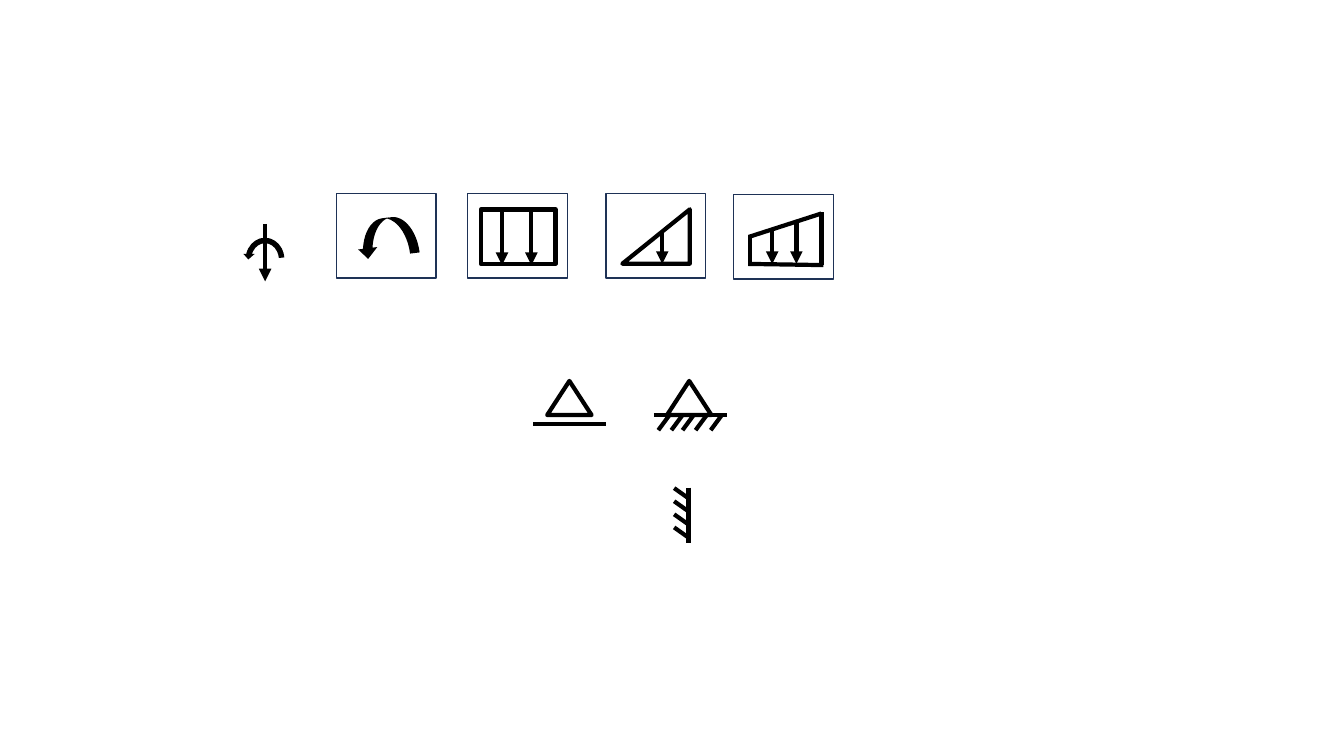
from typing import NamedTuple

from lxml.etree import SubElement
from pptx import Presentation
from pptx.dml.color import RGBColor
from pptx.enum.shapes import MSO_CONNECTOR, MSO_SHAPE as Shp
from pptx.oxml.ns import qn
from pptx.util import Cm, Pt

BLACK = RGBColor(0x00, 0x00, 0x00)
NAVY = RGBColor(0x1E, 0x32, 0x56)


class Outline(NamedTuple):
    kind: Shp
    left: float
    top: float
    width: float
    height: float
    rotation: float = 0


class Solid(NamedTuple):
    """A filled arrow, mirrored left to right."""
    kind: Shp
    left: float
    top: float
    width: float
    height: float
    adjustments: tuple[float, ...]
    rotation: float = 0


class Line(NamedTuple):
    x1: float
    y1: float
    x2: float
    y2: float
    arrow: bool = False


def add_preset(shapes, item: Outline | Solid):
    sp = shapes.add_shape(item.kind, *map(Cm, item[1:5]))
    sp.shadow.inherit = False
    sp.rotation = item.rotation
    return sp


def draw_outline(shapes, item: Outline, color: RGBColor = BLACK, width: float = 3) -> None:
    sp = add_preset(shapes, item)
    sp.fill.background()
    sp.line.color.rgb = color
    sp.line.width = Pt(width)


def draw_solid(shapes, item: Solid) -> None:
    sp = add_preset(shapes, item)
    for i, value in enumerate(item.adjustments):
        sp.adjustments[i] = value
    sp.fill.solid()
    sp.fill.fore_color.rgb = BLACK
    sp.line.fill.background()
    sp._element.spPr.find(qn("a:xfrm")).set("flipH", "1")


def draw_line(shapes, item: Line) -> None:
    cxn = shapes.add_connector(MSO_CONNECTOR.STRAIGHT, *map(Cm, item[:4]))
    cxn.line.color.rgb = BLACK
    cxn.line.width = Pt(3)
    if item.arrow:
        SubElement(cxn.line._get_or_add_ln(), qn("a:tailEnd"), type="triangle")
    SubElement(cxn._element.spPr, qn("a:effectLst"))


def draw_symbol(shapes, *items: Outline | Solid | Line) -> None:
    group = shapes.add_group_shape()
    for item in items:
        if isinstance(item, Line):
            draw_line(group.shapes, item)
        elif isinstance(item, Solid):
            draw_solid(group.shapes, item)
        else:
            draw_outline(group.shapes, item)


def down_arrow(x: float, top: float, bottom: float) -> Line:
    return Line(x, top, x, bottom, arrow=True)


prs = Presentation()
prs.slide_width, prs.slide_height = Cm(33.87), Cm(19.05)
s = prs.slides.add_slide(prs.slide_layouts[6])

# Button frames
for left, top in ((8.48, 4.88), (11.79, 4.88), (15.27, 4.88), (18.49, 4.9)):
    draw_outline(s.shapes, Outline(Shp.RECTANGLE, left, top, 2.51, 2.13), NAVY, 1)

# Moment
draw_solid(s.shapes, Solid(Shp.CURVED_DOWN_ARROW, 8.97, 5.49, 1.55, 0.97,
                           (0.25, 0.5, 0.275), 352.8))

# Triangular load
draw_symbol(s.shapes,
            Outline(Shp.RIGHT_TRIANGLE, 15.85, 5.11, 1.37, 1.7, 270),
            down_arrow(16.69, 5.84, 6.65))

# Uniform load
draw_symbol(s.shapes,
            Outline(Shp.RECTANGLE, 12.12, 5.28, 1.88, 1.37),
            *(down_arrow(x, 5.26, 6.68) for x in (12.65, 13.39)))

# Trapezoidal load
draw_symbol(s.shapes,
            Line(18.87, 6.65, 20.75, 6.68),
            Line(20.7, 6.68, 20.7, 5.33),
            Line(18.9, 6.71, 18.9, 5.92),
            Line(18.87, 5.97, 20.7, 5.38),
            down_arrow(19.46, 5.79, 6.65),
            down_arrow(20.07, 5.61, 6.65))

# Point force with moment
draw_symbol(s.shapes,
            down_arrow(6.68, 5.64, 7.09),
            Solid(Shp.CIRCULAR_ARROW, 6.12, 5.92, 1.12, 1.24,
                  (0.125, 11.423, 204.577, 111.719, 0.125)))

# Roller support
draw_symbol(s.shapes,
            Outline(Shp.ISOSCELES_TRIANGLE, 13.79, 9.6, 1.12, 0.86),
            Line(13.44, 10.69, 15.27, 10.69))

# Pinned support with ground hatching
GROUND = 10.46
draw_symbol(s.shapes,
            Outline(Shp.ISOSCELES_TRIANGLE, 16.81, 9.6, 1.12, 0.86),
            Line(16.48, GROUND, 18.31, GROUND),
            *(Line(x, GROUND, x - 0.28, GROUND + 0.38)
              for x in (16.87, 17.2, 17.48, 17.81, 18.19)))

# Fixed support with wall hatching
hatch_ends = [12.57 + 0.33 * i for i in range(4)]
draw_symbol(s.shapes,
            Line(17.35, 12.29, 17.35, 13.69),
            *(Line(17.37, y, 16.99, y - 0.27) for y in hatch_ends))

prs.save("out.pptx")
